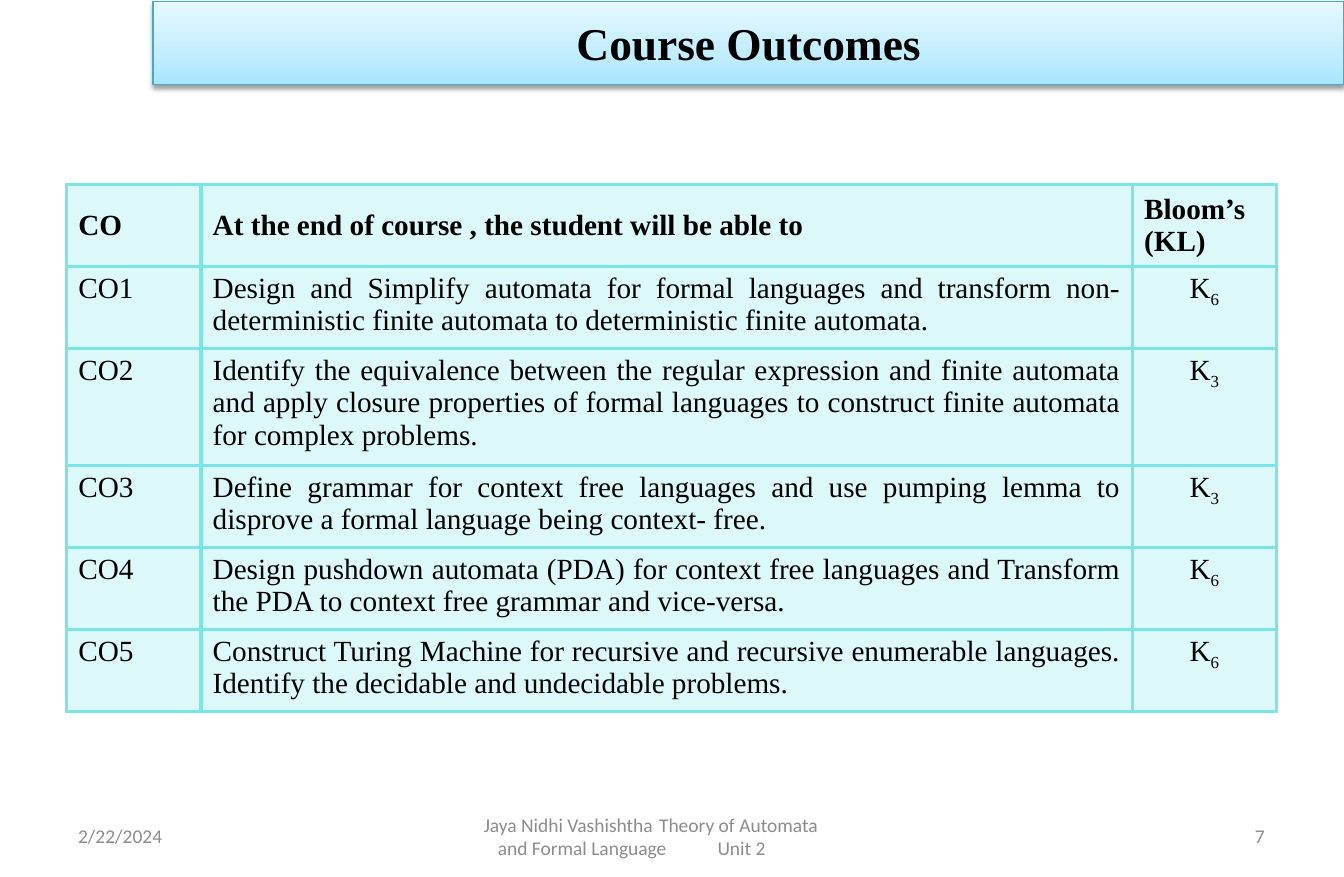
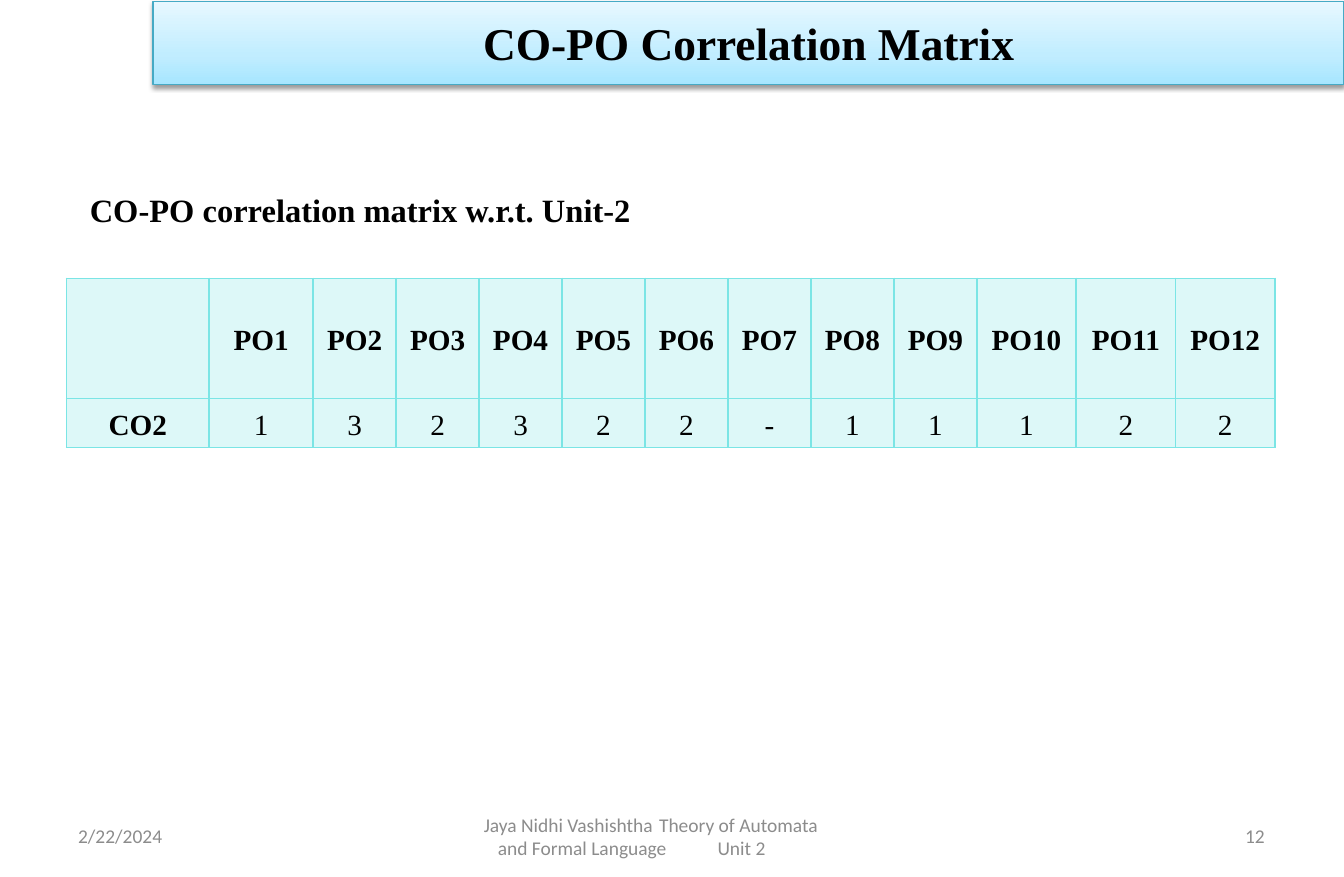
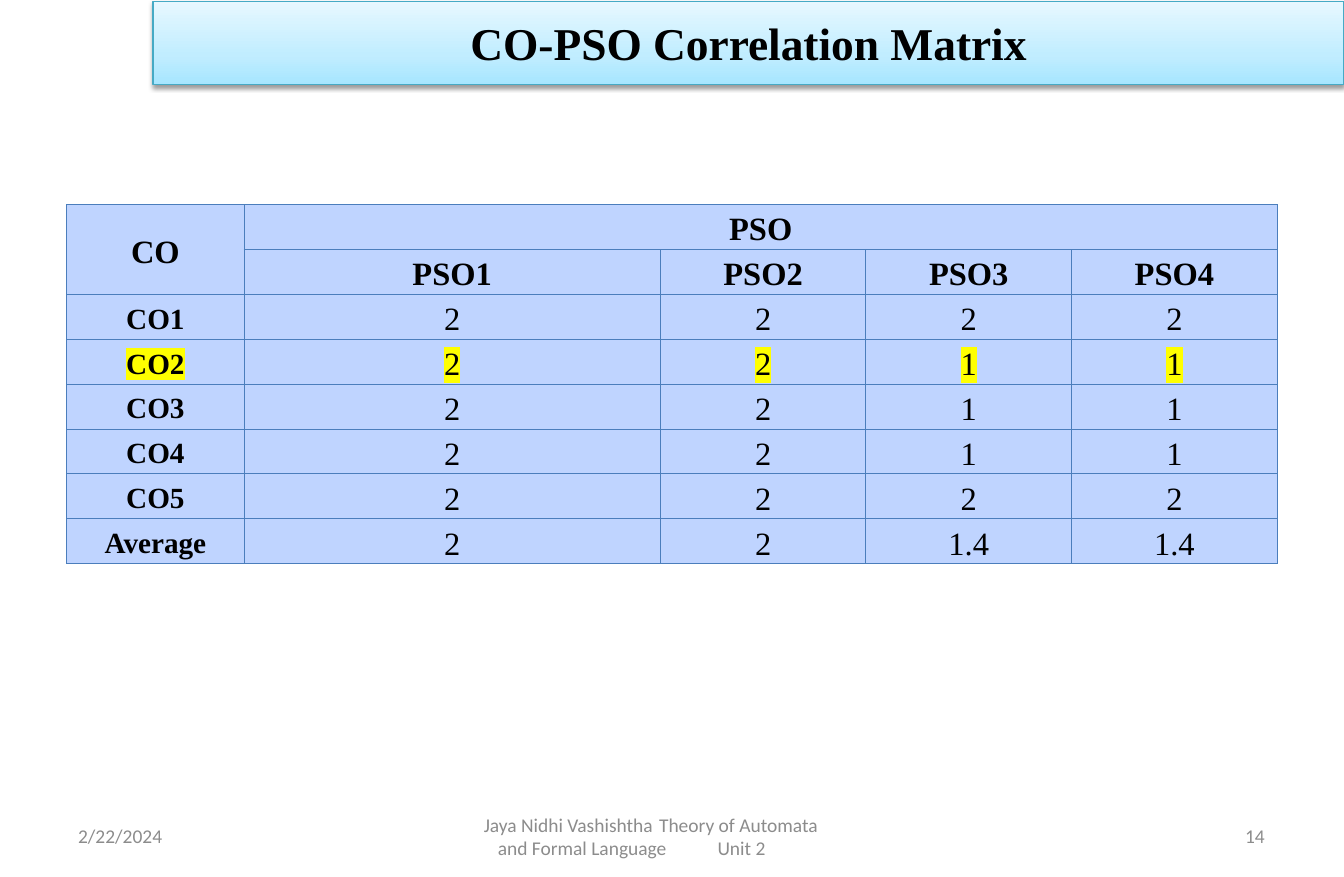
from copy import deepcopy

from pptx import Presentation
from pptx.dml.color import RGBColor
from pptx.enum.text import MSO_ANCHOR, MSO_AUTO_SIZE, PP_ALIGN
from pptx.oxml import parse_xml
from pptx.oxml.ns import nsdecls, qn
from pptx.oxml.xmlchemy import OxmlElement
from pptx.util import Inches, Pt

LEFT, CENTER, RIGHT, JUSTIFY = (
    PP_ALIGN.LEFT, PP_ALIGN.CENTER, PP_ALIGN.RIGHT, PP_ALIGN.JUSTIFY)
TOP, MIDDLE = MSO_ANCHOR.TOP, MSO_ANCHOR.MIDDLE
NO_AUTOFIT = MSO_AUTO_SIZE.NONE
TITLE_ONLY_LAYOUT = 5

SERIF, SANS = "Times New Roman", "Calibri"
COLORS = {
    "text": "000000",
    "footer": "8C8C8C",
    "title_line": "46AAC5",
    "aqua": "7BE5E5",
    "blue_fill": "BFD4FF",
    "blue_line": "4B7EBC",
    "highlight": "FFFF00",
}
TITLE_GRADIENT = [(0, "A7E6FF"), (0.35, "C1EDFF"), (1, "E7F8FF")]
AQUA_OPACITY = 25
CONTENT_LEFT = 0.57
DATE = "2/22/2024"
FOOTER_LINES = ["Jaya Nidhi Vashishtha\tTheory of Automata",
                "and Formal Language\tUnit 2"]
FOOTER_TAB, FOOTER_INDENT = 1.85, 0.12

OUTCOMES = [
    ("CO1", "Design and Simplify automata for formal languages and transform "
     "non-deterministic finite automata to deterministic finite automata.", "6"),
    ("CO2", "Identify the equivalence between the regular expression and finite "
     "automata and apply closure properties of formal languages to construct "
     "finite automata for complex problems.", "3"),
    ("CO3", "Define grammar for context free languages and use pumping lemma to "
     "disprove a formal language being context- free.", "3"),
    ("CO4", "Design pushdown automata (PDA) for context free languages and "
     "Transform the PDA to context free grammar and vice-versa.", "6"),
    ("CO5", "Construct Turing Machine for recursive and recursive enumerable "
     "languages. Identify the decidable and undecidable problems.", "6"),
]
PO_ROW = ["CO2", "1", "3", "2", "3", "2", "2", "-", "1", "1", "1", "2", "2"]
PSO_ROWS = [
    ["CO1", "2", "2", "2", "2"],
    ["CO2", "2", "2", "1", "1"],
    ["CO3", "2", "2", "1", "1"],
    ["CO4", "2", "2", "1", "1"],
    ["CO5", "2", "2", "2", "2"],
    ["Average", "2", "2", "1.4", "1.4"],
]


def rgb(name):
    return RGBColor.from_string(COLORS[name])


def set_attributes(target, values):
    for name, value in values.items():
        setattr(target, name, value)


def add_run(paragraph, text, size, bold=False, font=SERIF, color="text"):
    run = paragraph.add_run()
    run.text = text
    set_attributes(run.font, {"name": font, "size": Pt(size), "bold": bold})
    run.font.color.rgb = rgb(color)
    return run


def add_text_box(slide, box, anchor=TOP, wrap=True):
    frame = slide.shapes.add_textbox(*map(Inches, box)).text_frame
    set_attributes(frame, {"word_wrap": wrap, "vertical_anchor": anchor})
    return frame


def add_title(slide, text):
    title = slide.shapes.title
    set_attributes(title, {"left": Inches(1.31), "top": Inches(0.01),
                           "width": Inches(10.19), "height": Inches(0.71)})
    title.fill.gradient()
    title.fill.gradient_angle = 90
    properties = title._element.spPr
    stop_list = properties.find(".//" + qn("a:gsLst"))
    stop_list.append(deepcopy(stop_list[-1]))
    for stop, (position, color) in zip(title.fill.gradient_stops, TITLE_GRADIENT):
        stop.position = position
        stop.color.rgb = RGBColor.from_string(color)
    title.line.color.rgb = rgb("title_line")
    title.line.width = Pt(0.75)
    properties.append(parse_xml(
        f'<a:effectLst {nsdecls("a")}>'
        f'<a:outerShdw blurRad="{Pt(3.1)}" dist="{Pt(1.6)}" dir="5400000" '
        'rotWithShape="0"><a:srgbClr val="000000"><a:alpha val="38000"/>'
        '</a:srgbClr></a:outerShdw></a:effectLst>'))
    frame = title.text_frame
    set_attributes(frame, {
        "auto_size": NO_AUTOFIT, "word_wrap": True, "vertical_anchor": MIDDLE,
        "margin_left": Inches(0.09), "margin_right": Inches(0.09),
        "margin_top": Inches(0.04), "margin_bottom": Inches(0.04)})
    paragraph = frame.paragraphs[0]
    paragraph.alignment = CENTER
    add_run(paragraph, text, 28, bold=True)


def add_footers(slide, number):
    style = {"size": 12, "font": SANS, "color": "footer"}
    for left, text, alignment in [(CONTENT_LEFT, DATE, LEFT),
                                  (8.24, str(number), RIGHT)]:
        frame = add_text_box(slide, (left, 6.95, 2.68, 0.4), MIDDLE)
        frame.paragraphs[0].alignment = alignment
        add_run(frame.paragraphs[0], text, **style)

    frame = add_text_box(slide, (3.93, 6.9, 3.64, 0.5), MIDDLE)
    set_attributes(frame, {"margin_left": Inches(0.21),
                           "margin_top": 0, "margin_bottom": 0})
    frame.add_paragraph()
    for index, (paragraph, text) in enumerate(zip(frame.paragraphs, FOOTER_LINES)):
        properties = paragraph._p.get_or_add_pPr()
        properties.set("indent", str(Inches(FOOTER_INDENT * index)))
        properties.append(parse_xml(
            f'<a:tabLst {nsdecls("a")}>'
            f'<a:tab pos="{Inches(FOOTER_TAB)}" algn="l"/></a:tabLst>'))
        add_run(paragraph, text, **style)


def add_slide(presentation, title, number):
    slide = presentation.slides.add_slide(
        presentation.slide_layouts[TITLE_ONLY_LAYOUT])
    add_title(slide, title)
    add_footers(slide, number)
    return slide


def paint_cell(cell, fill, border, border_width, opacity):
    cell.fill.solid()
    cell.fill.fore_color.rgb = rgb(fill)
    properties = cell._tc.get_or_add_tcPr()
    if opacity < 100:
        alpha = OxmlElement("a:alpha")
        alpha.set("val", str(opacity * 1000))
        properties.find(".//" + qn("a:srgbClr")).append(alpha)
    for index, side in enumerate(("lnL", "lnR", "lnT", "lnB")):
        properties.insert(index, parse_xml(
            f'<a:{side} {nsdecls("a")} w="{Pt(border_width)}"><a:solidFill>'
            f'<a:srgbClr val="{COLORS[border]}"/></a:solidFill></a:{side}>'))


def add_grid(slide, top, widths, heights, fill, border, border_width, opacity=100):
    """Add an empty table with painted cells and return it."""
    table = slide.shapes.add_table(
        len(heights), len(widths), Inches(CONTENT_LEFT), Inches(top),
        Inches(sum(widths)), Inches(sum(heights))).table
    set_attributes(table, {"first_row": False, "horz_banding": False})
    for column, width in zip(table.columns, widths):
        column.width = Inches(width)
    for row, height in zip(table.rows, heights):
        row.height = Inches(height)
    for cell in table.iter_cells():
        paint_cell(cell, fill, border, border_width, opacity)
    return table


def write_cell(cell, text, alignment=LEFT, anchor=TOP, size=18, bold=False):
    cell.vertical_anchor = anchor
    paragraph = cell.text_frame.paragraphs[0]
    paragraph.alignment = alignment
    return add_run(paragraph, text, size, bold)


def write_matrix_cell(cell, text, side_margin, size=18, bold=False):
    """Write a centred value in a cell without top and bottom margins."""
    set_attributes(cell, {
        "margin_left": Inches(side_margin), "margin_right": Inches(side_margin),
        "margin_top": 0, "margin_bottom": 0})
    run = write_cell(cell, text, CENTER, MIDDLE, size, bold)
    cell.text_frame.paragraphs[0].line_spacing = 1.15
    return run


def highlight(run):
    run.font._element.find(qn("a:latin")).addprevious(parse_xml(
        f'<a:highlight {nsdecls("a")}>'
        f'<a:srgbClr val="{COLORS["highlight"]}"/></a:highlight>'))


def add_outcomes_table(slide):
    table = add_grid(slide, 1.58, [1.15, 7.97, 1.23],
                     [0.65, 0.65, 0.93, 0.69, 0.69, 0.69],
                     "aqua", "aqua", 2.25, AQUA_OPACITY)
    headers = ["CO", "At the end of course , the student will be able to",
               "Bloom’s (KL)"]
    for column, text in enumerate(headers):
        write_cell(table.cell(0, column), text, anchor=MIDDLE, bold=True)
    for row, (code, outcome, level) in enumerate(OUTCOMES, start=1):
        write_cell(table.cell(row, 0), code)
        write_cell(table.cell(row, 1), outcome, JUSTIFY)
        level_cell = table.cell(row, 2)
        write_cell(level_cell, "K", CENTER)
        subscript = add_run(level_cell.text_frame.paragraphs[0], level, 18)
        subscript.font._element.set("baseline", "-25000")


def add_po_table(slide):
    table = add_grid(slide, 2.38, [1.22, 0.89] + [0.71] * 8 + [0.85] * 3,
                     [1.03, 0.42], "aqua", "aqua", 1, AQUA_OPACITY)
    for column, value in enumerate(PO_ROW):
        if column:
            write_matrix_cell(table.cell(0, column), f"PO{column}", 0.09, bold=True)
        write_matrix_cell(table.cell(1, column), value, 0.09, bold=column == 0)


def add_pso_table(slide):
    table = add_grid(slide, 1.75, [1.52, 3.56] + [1.76] * 3, [0.375] * 8,
                     "blue_fill", "blue_line", 0.75)
    table.cell(0, 0).merge(table.cell(1, 0))
    table.cell(0, 1).merge(table.cell(0, 4))
    write_matrix_cell(table.cell(0, 0), "CO", 0.07, 20, True)
    write_matrix_cell(table.cell(0, 1), "PSO", 0.07, 20, True)
    for column in range(1, 5):
        write_matrix_cell(table.cell(1, column), f"PSO{column}", 0.07, 20, True)
    for row, values in enumerate(PSO_ROWS, start=2):
        for column, value in enumerate(values):
            is_label = column == 0
            run = write_matrix_cell(table.cell(row, column), value, 0.07,
                                    18 if is_label else 20, is_label)
            if values[0] == "CO2":
                highlight(run)


def main():
    presentation = Presentation()
    presentation.slide_width = Inches(11.5)
    presentation.slide_height = Inches(7.5)

    add_outcomes_table(add_slide(presentation, "Course Outcomes", 7))

    po_slide = add_slide(presentation, "CO-PO Correlation Matrix", 12)
    heading = add_text_box(po_slide, (0.67, 1.58, 4.86, 0.44), wrap=False)
    add_run(heading.paragraphs[0], "CO-PO correlation matrix w.r.t. Unit-2", 20, True)
    add_po_table(po_slide)

    add_pso_table(add_slide(presentation, "CO-PSO Correlation Matrix", 14))

    presentation.save("out.pptx")


if __name__ == "__main__":
    main()
